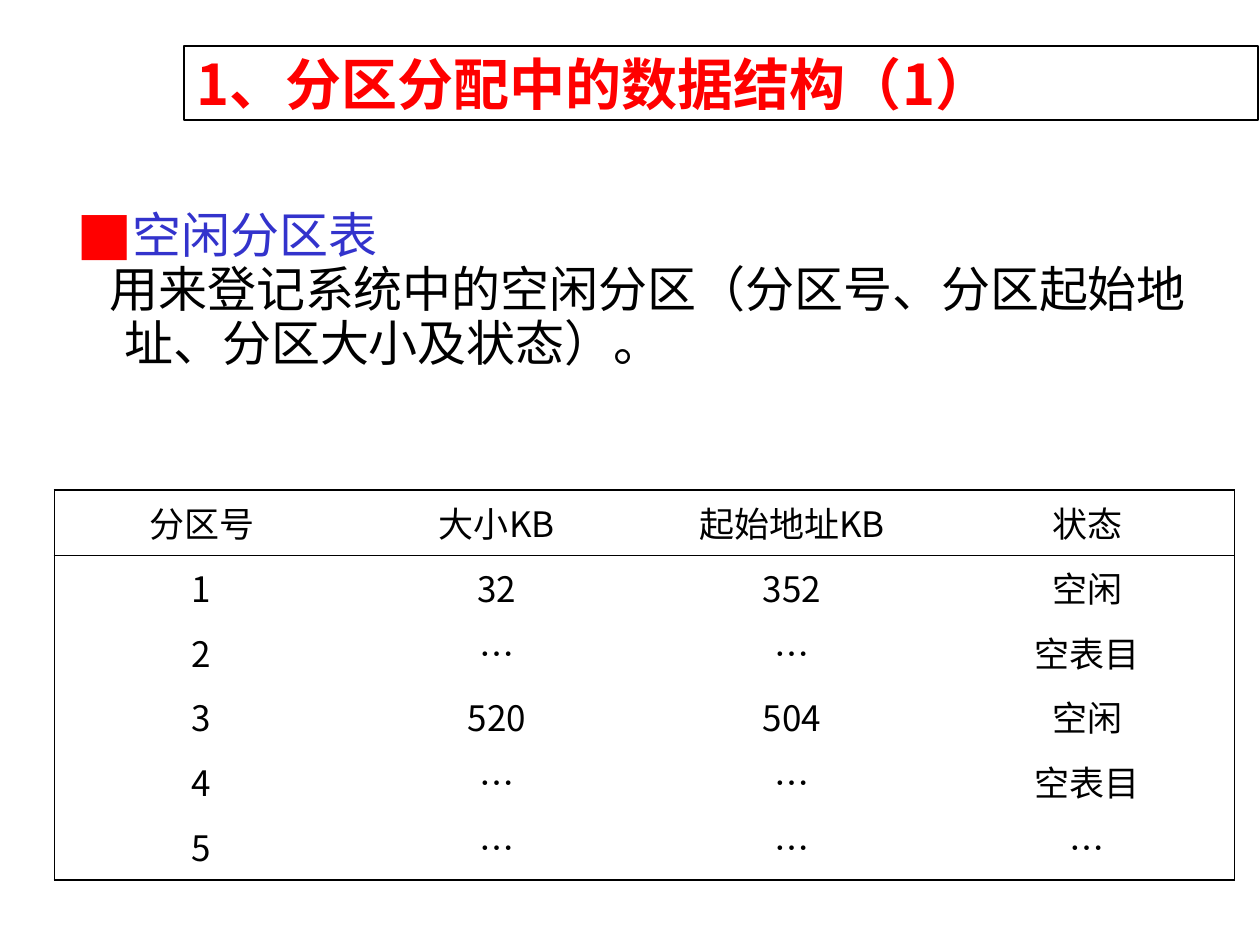
import pptx
import pptx.util
import pptx.dml.color
import pptx.enum.shapes
import pptx.enum.text
from lxml import etree
from dataclasses import dataclass


@dataclass(frozen=True)
class Theme:
    face: str = "Noto Sans CJK SC"
    red: str = "FF0000"
    blue: str = "3333CC"
    black: str = "000000"
    white: str = "FFFFFF"
    head: int = 32
    body: int = 28
    cell: int = 20
    thin: float = 0.45
    thick: float = 1.08


theme = Theme()
NS = "http://schemas.openxmlformats.org/drawingml/2006/main"
rgb = pptx.dml.color.RGBColor.from_string
middle = pptx.enum.text.MSO_ANCHOR.MIDDLE
align = pptx.enum.text.PP_ALIGN


def px(*nums):
    """Turn pixel lengths, at 126 to the inch, into EMU."""
    return [round(n * 914400 / 126) for n in nums]


def style(para, size, color, bold=False):
    font = para.font
    font.name, font.size, font.bold = theme.face, pptx.util.Pt(size), bold
    font.color.rgb = rgb(color)
    props = para._p.pPr.find(f"{{{NS}}}defRPr")
    etree.SubElement(props, f"{{{NS}}}ea", typeface=theme.face)


deck = pptx.Presentation()
deck.slide_width, deck.slide_height = px(1260, 945)
slide = deck.slides.add_slide(deck.slide_layouts[6])

# Title
title = slide.shapes.add_shape(
    pptx.enum.shapes.MSO_SHAPE.RECTANGLE, *px(184, 46, 1074, 74))
title.shadow.inherit = False
title.fill.solid()
title.fill.fore_color.rgb = rgb(theme.white)
title.line.color.rgb = rgb(theme.black)
title.line.width = pptx.util.Pt(0.75)
title.text_frame.word_wrap = True
title.text_frame.vertical_anchor = middle
para = title.text_frame.paragraphs[0]
para.text = "1、分区分配中的数据结构（1）"
para.alignment = align.LEFT
style(para, theme.head, theme.red, True)

# Body: a bulleted heading and its explanation
body = slide.shapes.add_textbox(*px(64, 204, 1144, 273)).text_frame
body.word_wrap = True
lines = [
    ("空闲分区表", theme.blue, -48, True),
    ("用来登记系统中的空闲分区（分区号、分区起始地址、分区大小及状态）。",
     theme.black, -15, False),
]
for i, (text, color, indent, mark) in enumerate(lines):
    para = body.add_paragraph() if i else body.paragraphs[0]
    para.text = text
    para.line_spacing = 0.92
    props = para._p.get_or_add_pPr()
    left, first = px(48, indent)
    props.set("marL", str(left))
    props.set("indent", str(first))
    if mark:
        tint = etree.SubElement(props, f"{{{NS}}}buClr")
        etree.SubElement(tint, f"{{{NS}}}srgbClr", val=theme.red)
        etree.SubElement(props, f"{{{NS}}}buSzPct", val="115000")
        etree.SubElement(props, f"{{{NS}}}buFont", typeface=theme.face)
        etree.SubElement(props, f"{{{NS}}}buChar", char="■")
    else:
        etree.SubElement(props, f"{{{NS}}}buNone")
    style(para, theme.body, color)

# Table of free partitions
rows = [
    ["分区号", "大小KB", "起始地址KB", "状态"],
    ["1", "32", "352", "空闲"],
    ["2", "…", "…", "空表目"],
    ["3", "520", "504", "空闲"],
    ["4", "…", "…", "空表目"],
    ["5", "…", "…", "…"],
]
last, end = len(rows) - 1, len(rows[0]) - 1
table = slide.shapes.add_table(
    last + 1, end + 1, *px(54, 490, 1181, 390)).table
table.first_row = table.horz_banding = False
for r, row in enumerate(rows):
    for c, text in enumerate(row):
        cell = table.cell(r, c)
        cell.text = text
        cell.fill.background()
        para = cell.text_frame.paragraphs[0]
        para.alignment = align.CENTER
        style(para, theme.cell, theme.black)
        edges = {
            "lnL": theme.thin if c == 0 else 0,
            "lnR": theme.thin if c == end else 0,
            "lnT": {0: theme.thick, 1: theme.thin}.get(r, 0),
            "lnB": {0: theme.thin, last: theme.thick}.get(r, 0),
        }
        props = cell._tc.get_or_add_tcPr()
        for i, (tag, width) in enumerate(edges.items()):
            edge = etree.Element(f"{{{NS}}}{tag}", w=str(round(width * 12700)))
            props.insert(i, edge)
            if width:
                fill = etree.SubElement(edge, f"{{{NS}}}solidFill")
                etree.SubElement(fill, f"{{{NS}}}srgbClr", val=theme.black)
            else:
                etree.SubElement(edge, f"{{{NS}}}noFill")

deck.save("out.pptx")
